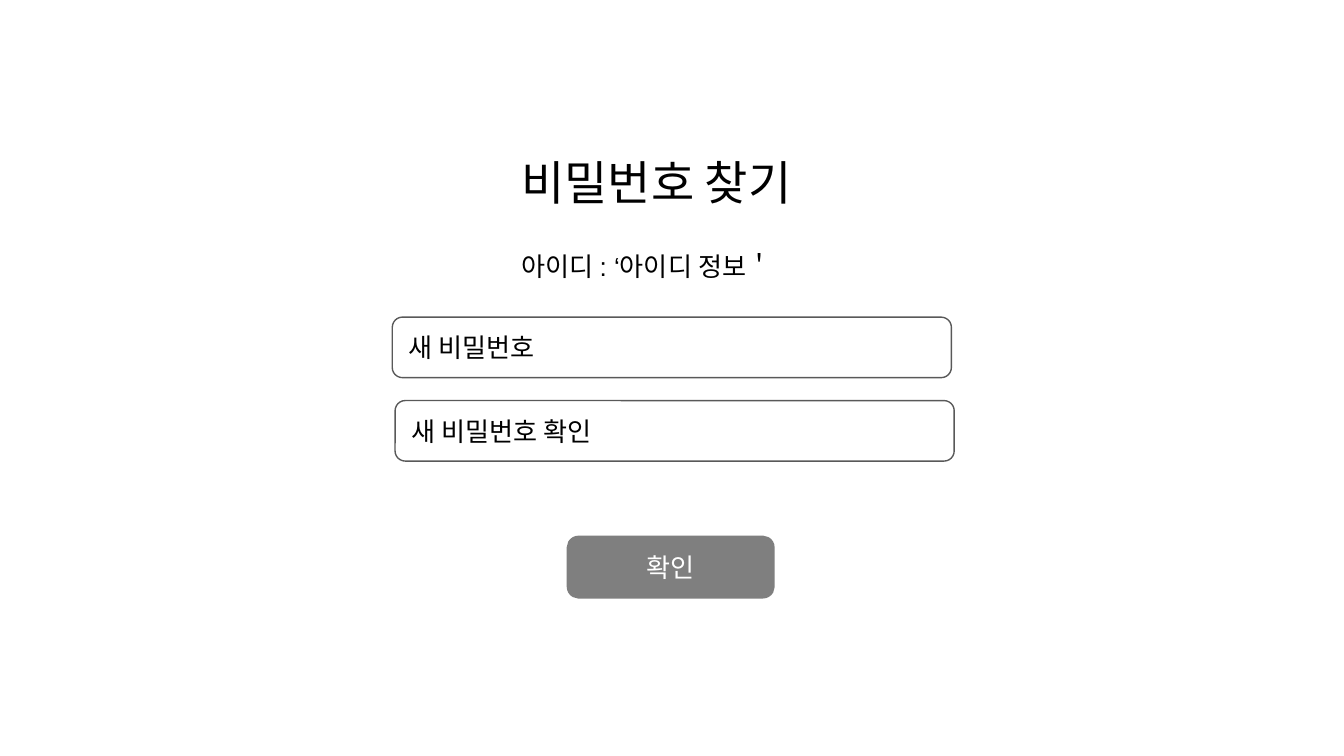
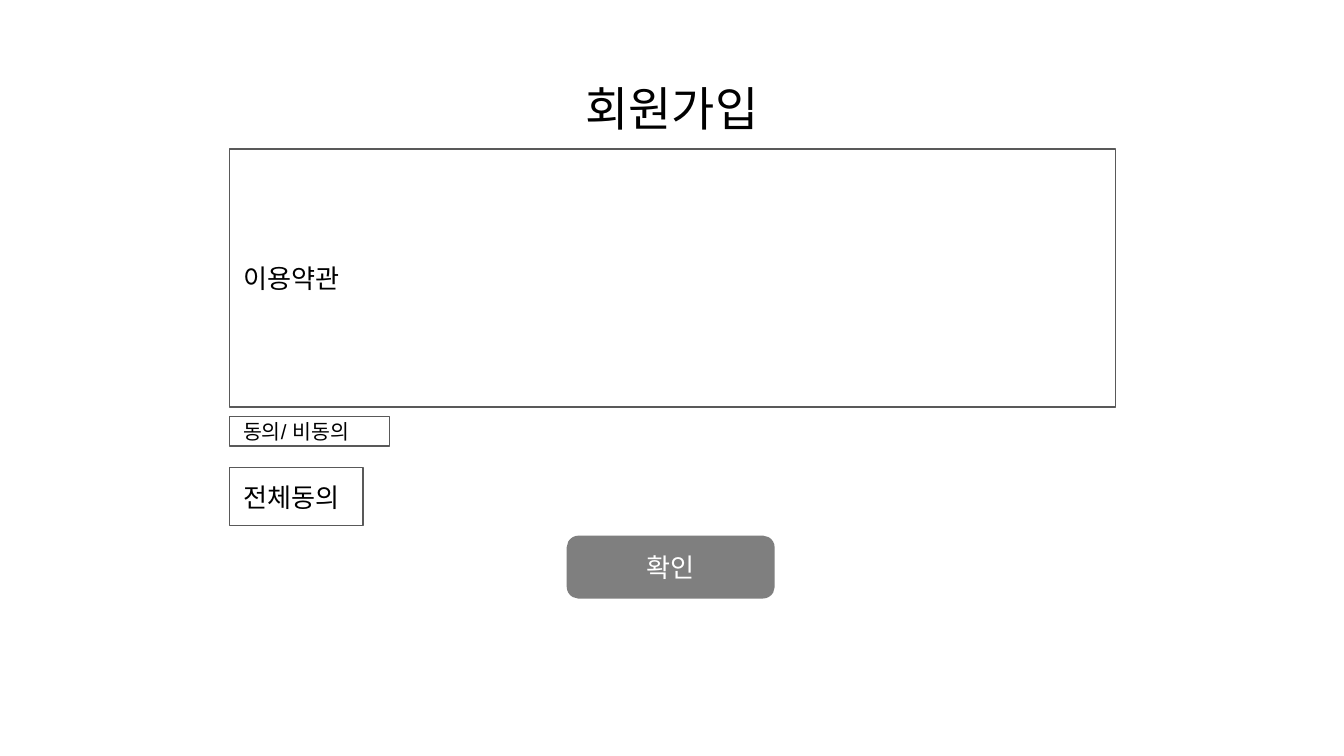
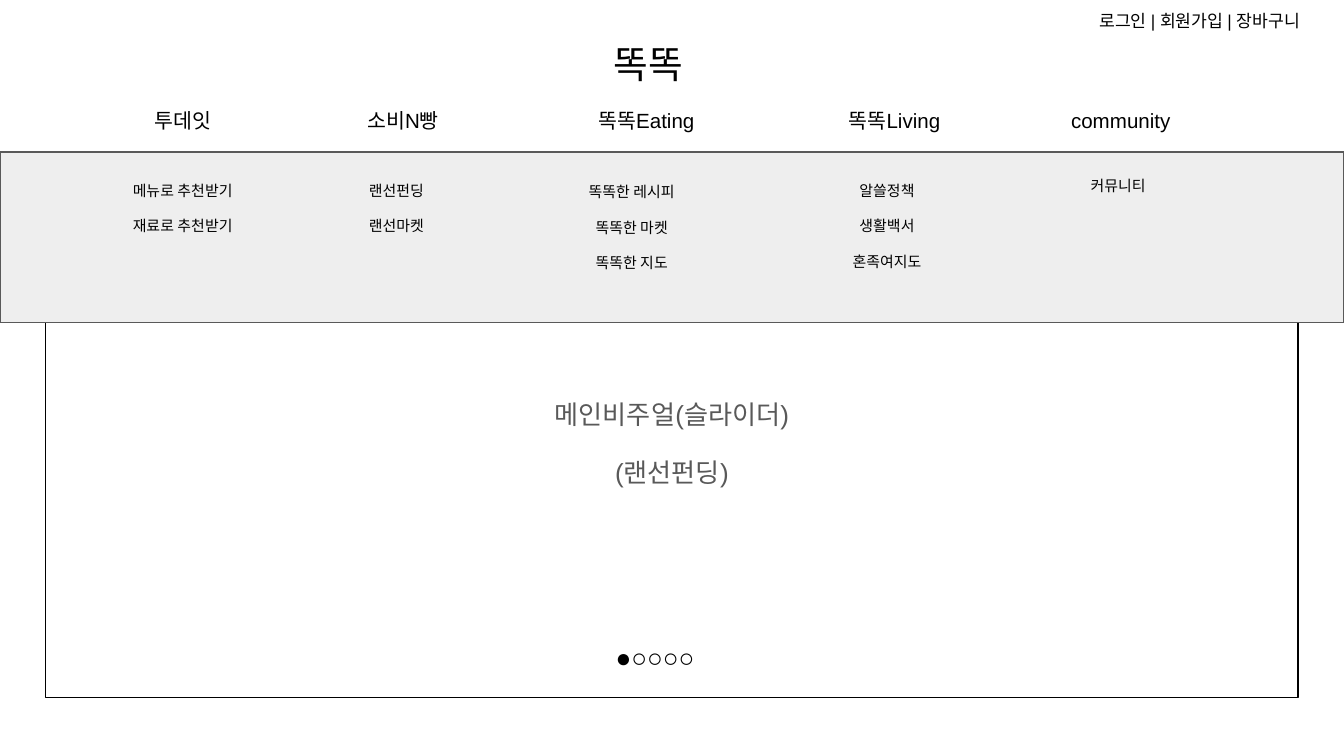
import pptx
import pptx.util
import pptx.dml.color
import pptx.enum.shapes
import pptx.enum.text

Pt = pptx.util.Pt
Align = pptx.enum.text.PP_ALIGN
Anchor = pptx.enum.text.MSO_ANCHOR
Shape = pptx.enum.shapes.MSO_SHAPE

FONT = "Arial"
COLOURS = {
    "ink": "000000",
    "paper": "FFFFFF",
    "outline": "595959",
    "button": "7F7F7F",
    "menu": "EEEEEE",
}
INSET = 7.2
TITLE_SIZE = 25.2
BODY_SIZE = 14
NAV_SIZE = 11
MENU_SIZE = 8


def colour(name):
    return pptx.dml.color.RGBColor.from_string(COLOURS[name])


def write(shape, lines, size, ink="ink", align=Align.LEFT, anchor=Anchor.TOP,
          inset_y=INSET, line_spacing=None, before=0, after=0):
    """Write one paragraph per line; the spacing applies after the first."""
    frame = shape.text_frame
    frame.word_wrap = True
    frame.vertical_anchor = anchor
    frame.margin_left = frame.margin_right = Pt(INSET)
    frame.margin_top = frame.margin_bottom = Pt(inset_y)
    for index, line in enumerate(lines):
        para = frame.add_paragraph() if index else frame.paragraphs[0]
        para.alignment = align
        if line_spacing:
            para.line_spacing = line_spacing
        if index:
            para.space_before = Pt(before)
            para.space_after = Pt(after)
        span = para.add_run()
        span.text = line
        span.font.name = FONT
        span.font.size = Pt(size)
        span.font.color.rgb = colour(ink)


def add_text(page, place, lines, size, **style):
    box = page.shapes.add_textbox(*map(Pt, place))
    write(box, lines, size, **style)


def add_box(page, place, kind=Shape.RECTANGLE, fill="paper", line="outline", weight=0.75):
    box = page.shapes.add_shape(kind, *map(Pt, place))
    box.shadow.inherit = False
    if fill:
        box.fill.solid()
        box.fill.fore_color.rgb = colour(fill)
    else:
        box.fill.background()
    box.line.color.rgb = colour(line)
    box.line.width = Pt(weight)
    return box


def add_field(page, place, label, size=BODY_SIZE, kind=Shape.RECTANGLE):
    field = add_box(page, place, kind)
    write(field, [label], size, anchor=Anchor.MIDDLE)


def add_confirm_button(page):
    button = add_box(page, (304.6, 288, 109.4, 31.7), Shape.ROUNDED_RECTANGLE,
                     "button", "button", 2)
    write(button, ["확인"], BODY_SIZE, ink="paper", align=Align.CENTER,
          anchor=Anchor.MIDDLE, inset_y=3.6)


def build_password_page(page):
    add_text(page, (272.2, 74.9, 175.7, 45.4), ["비밀번호 찾기"], TITLE_SIZE)
    for left, top, label in ((210.2, 169.9, "새 비밀번호"),
                             (211.7, 214.6, "새 비밀번호 확인")):
        add_field(page, (left, top, 299.5, 32.4), label, kind=Shape.ROUNDED_RECTANGLE)
    add_text(page, (272.2, 126.7, 210.2, 31.7), ["아이디 : ‘아이디 정보＇"], BODY_SIZE)
    add_confirm_button(page)


def build_signup_page(page):
    left = 123.1
    add_text(page, (24.5, 35.3, 671, 45.4), ["회원가입"], TITLE_SIZE, align=Align.CENTER)
    add_field(page, (left, 79.9, 474.5, 138.2), "이용약관")
    add_field(page, (left, 223.2, 85.7, 15.8), "동의/ 비동의", NAV_SIZE)
    add_field(page, (left, 250.6, 71.3, 31), "전체동의")
    add_confirm_button(page)


def build_home_page(page):
    # Site name and main visual
    add_text(page, (321.8, 14.4, 57.6, 30.2), ["똑똑"], 20.2)
    visual = add_box(page, (24.5, 98.6, 671, 275), fill=None, line="ink")
    write(visual, ["메인비주얼(슬라이더)", "(랜선펀딩)"], BODY_SIZE, ink="outline",
          align=Align.CENTER, anchor=Anchor.MIDDLE, line_spacing=1.15,
          before=12, after=12)
    add_text(page, (581.8, 0, 138.2, 30.2), ["로그인 | 회원가입 | 장바구니"], 9.2)
    add_text(page, (318.2, 336.2, 65.5, 31.7), ["●○○○○"], BODY_SIZE, align=Align.CENTER)

    # Open menu: heading, left, width; then submenu left, top, entries
    add_box(page, (0, 81.4, 720, 91.4), fill="menu")
    columns = (
        ("투데잇", 63.4, 69.1, 49.7, 90, ["메뉴로 추천받기", "재료로 추천받기"]),
        ("소비N빵", 181.4, 69.1, 164.2, 90, ["랜선펀딩", "랜선마켓"]),
        ("똑똑Eating", 300.2, 92.2, 290.2, 90.7,
         ["똑똑한 레시피", "똑똑한 마켓", "똑똑한 지도"]),
        ("똑똑Living", 442.1, 74.2, 427, 90, ["알쓸정책", "생활백서", "혼족여지도"]),
        ("community", 565.9, 69.1, 550.8, 90, ["커뮤니티"]),
    )
    for heading, left, width, menu_left, menu_top, entries in columns:
        add_text(page, (left, 51.1, width, 25.9), [heading], NAV_SIZE, align=Align.CENTER)
        add_text(page, (menu_left, menu_top, 96.5, 82.1), entries, MENU_SIZE,
                 align=Align.CENTER, before=9.5)


def main():
    deck = pptx.Presentation()
    deck.slide_width, deck.slide_height = Pt(720), Pt(405)
    for build in (build_password_page, build_signup_page, build_home_page):
        build(deck.slides.add_slide(deck.slide_layouts[6]))
    deck.save("out.pptx")


if __name__ == "__main__":
    main()
